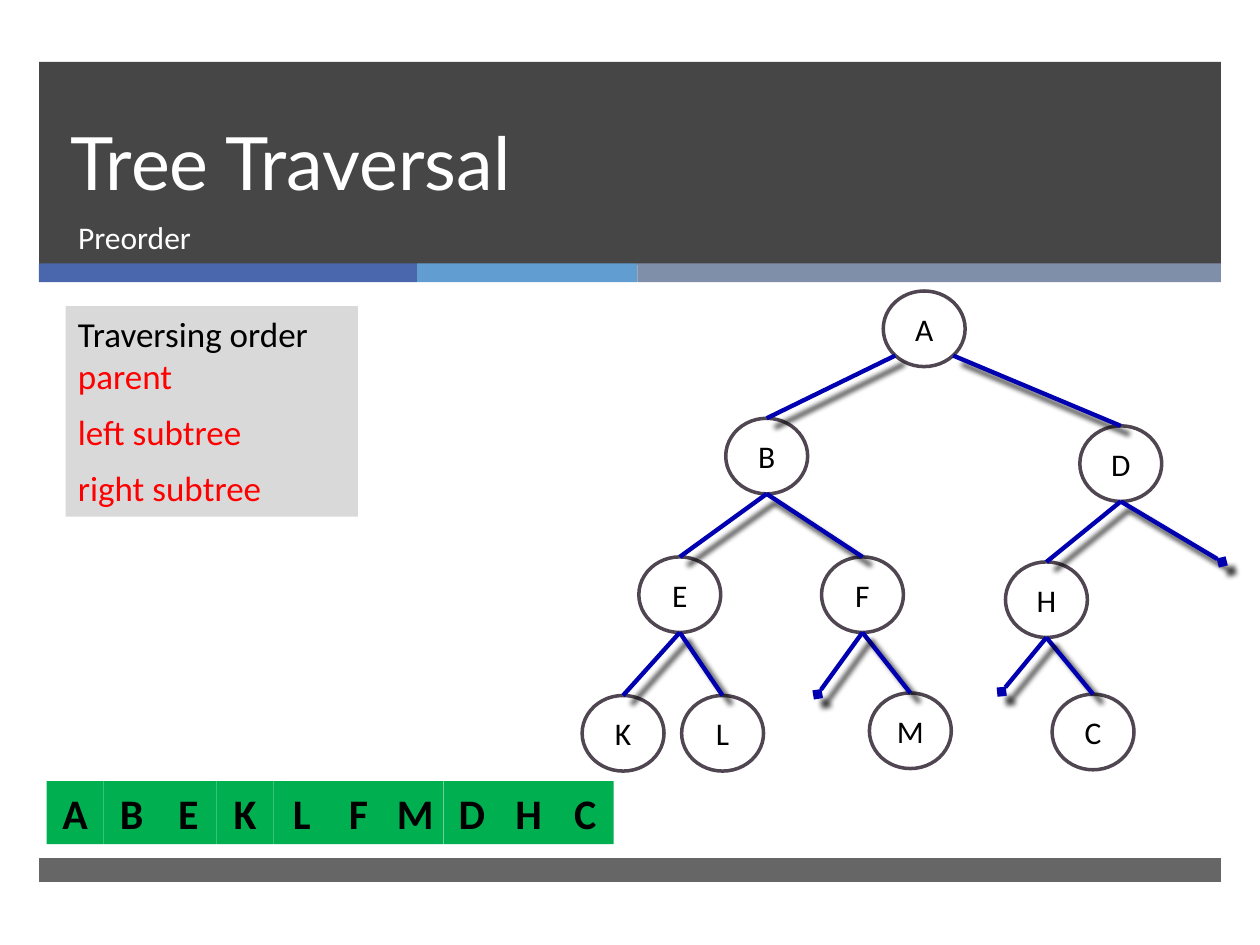
from lxml.etree import SubElement as Sub
from pptx import Presentation
from pptx.dml.color import RGBColor
from pptx.enum.shapes import MSO_CONNECTOR as Link, MSO_SHAPE as Form
from pptx.enum.text import MSO_ANCHOR as Anchor, MSO_AUTO_SIZE as Fit, PP_ALIGN as Align
from pptx.oxml.ns import qn
from pptx.util import Inches, Pt

BARS = [
    (0.31, 0.49, 9.38, 1.61, "262626", 85),
    (0.31, 2.09, 3, 0.15, "4A66AC", 100),
    (3.31, 2.09, 1.75, 0.15, "629DD1", 100),
    (5.06, 2.09, 4.63, 0.15, "7F8FA9", 100),
    (0.31, 6.81, 9.38, 0.19, "262626", 70),
]
STEPS = ["Traversing order\vparent", "left subtree", "right subtree"]
NODES = {
    "A": (7.01, 2.31), "B": (5.76, 3.32), "D": (8.57, 3.38),
    "E": (5.07, 4.42), "F": (6.52, 4.42), "H": (7.98, 4.46),
    "K": (4.62, 5.52), "L": (5.41, 5.52), "M": (6.9, 5.5), "C": (8.35, 5.51),
}
EDGES = ["AB", "AD", "BE", "BF", "EK", "EL", "FM", "DH", "HC"]
ENDS = [("F", 6.49, 5.51), ("D", 9.7, 4.46), ("H", 7.95, 5.49)]
ORDER = "ABEKLFMDHC"
WIDE, HIGH = 0.65, 0.6
CELL = 0.45


def color(code):
    return RGBColor.from_string(code)


def place(shape, *box):
    shape.left, shape.top, shape.width, shape.height = map(Inches, box)


def style(para, size, code="000000", font="Calibri", bold=False, align=Align.LEFT):
    para.alignment = align
    for run in para.runs:
        run.font.size, run.font.name, run.font.bold = Pt(size), font, bold
        run.font.color.rgb = color(code)


def draw(form, box, fill=None):
    shape = slide.shapes.add_shape(form, *map(Inches, box))
    shape.shadow.inherit = False
    shape.line.fill.background()
    if fill:
        shape.fill.solid()
        shape.fill.fore_color.rgb = color(fill)
    else:
        shape.fill.background()
    return shape


def label(shape, text, size, bold, anchor):
    frame = shape.text_frame
    frame.text = text
    frame.margin_left = frame.margin_right = 0
    frame.vertical_anchor = anchor
    style(frame.paragraphs[0], size, bold=bold, align=Align.CENTER)


def join(start, end, tail=None):
    line = slide.shapes.add_connector(Link.STRAIGHT, *map(Inches, start + end))
    line.line.color.rgb = color("0000B0")
    line.line.width = Pt(2.5)
    props = line._element.spPr
    if tail:
        Sub(props.find(qn("a:ln")), qn("a:tailEnd"), type=tail)
    shade = Sub(Sub(props, qn("a:effectLst")), qn("a:outerShdw"), blurRad=str(Pt(3)),
                dist=str(Pt(7)), dir="2700000", rotWithShape="0")
    Sub(Sub(shade, qn("a:srgbClr"), val="000000"), qn("a:alpha"), val="75000")


def foot(name, side=0):
    left, top = NODES[name]
    if name == "A":
        return left + WIDE / 2 + side * WIDE * 0.354, top + HIGH * 0.854
    return left + WIDE / 2, top + HIGH


deck = Presentation()
deck.slide_width, deck.slide_height = Inches(10), Inches(7.5)
slide = deck.slides.add_slide(deck.slide_layouts[0])
title, sub = slide.placeholders

for *box, code, alpha in BARS:
    bar = draw(Form.RECTANGLE, box, code)
    if alpha < 100:
        tint = bar._element.spPr.find(qn("a:solidFill"))[0]
        Sub(tint, qn("a:alpha"), val=str(alpha * 1000))

heads = [
    (title, "Tree Traversal", 42, "Lato", Anchor.BOTTOM, (0.46, 0.49, 8.54, 1.19)),
    (sub, "Preorder", 18, "Calibri", Anchor.TOP, (0.52, 1.68, 8.48, 0.53)),
]
for shape, text, size, font, anchor, box in heads:
    slide.shapes._spTree.append(shape._element)
    place(shape, *box)
    frame = shape.text_frame
    frame.text = text
    frame.auto_size = Fit.NONE
    frame.vertical_anchor = anchor
    style(frame.paragraphs[0], size, "FFFFFF", font)
title.text_frame.paragraphs[0].line_spacing = Pt(46)

panel = draw(Form.RECTANGLE, (0.52, 2.43, 2.32, 1.67), "D9D9D9").text_frame
panel.vertical_anchor = Anchor.TOP
panel.text = "\n".join(STEPS)
for para in panel.paragraphs:
    style(para, 20, "FF0000")
    para.space_before = para.space_after = Pt(4)
panel.paragraphs[0].runs[0].font.color.rgb = color("000000")

for name, spot in NODES.items():
    node = draw(Form.OVAL, (*spot, WIDE, HIGH))
    node.line.color.rgb = color("504652")
    node.line.width = Pt(2)
    label(node, name, 18, False, Anchor.MIDDLE)

for top, low in EDGES:
    left, head = NODES[low]
    side = 1 if left > NODES[top][0] else -1
    join(foot(top, side), (left + WIDE / 2, head))
for name, *end in ENDS:
    join(foot(name), tuple(end), "diamond")

for i, name in enumerate(ORDER):
    cell = draw(Form.RECTANGLE, (0.37 + i * CELL, 6.2, CELL, 0.5), "00B050")
    label(cell, name, 24, True, Anchor.TOP)

deck.save("out.pptx")
